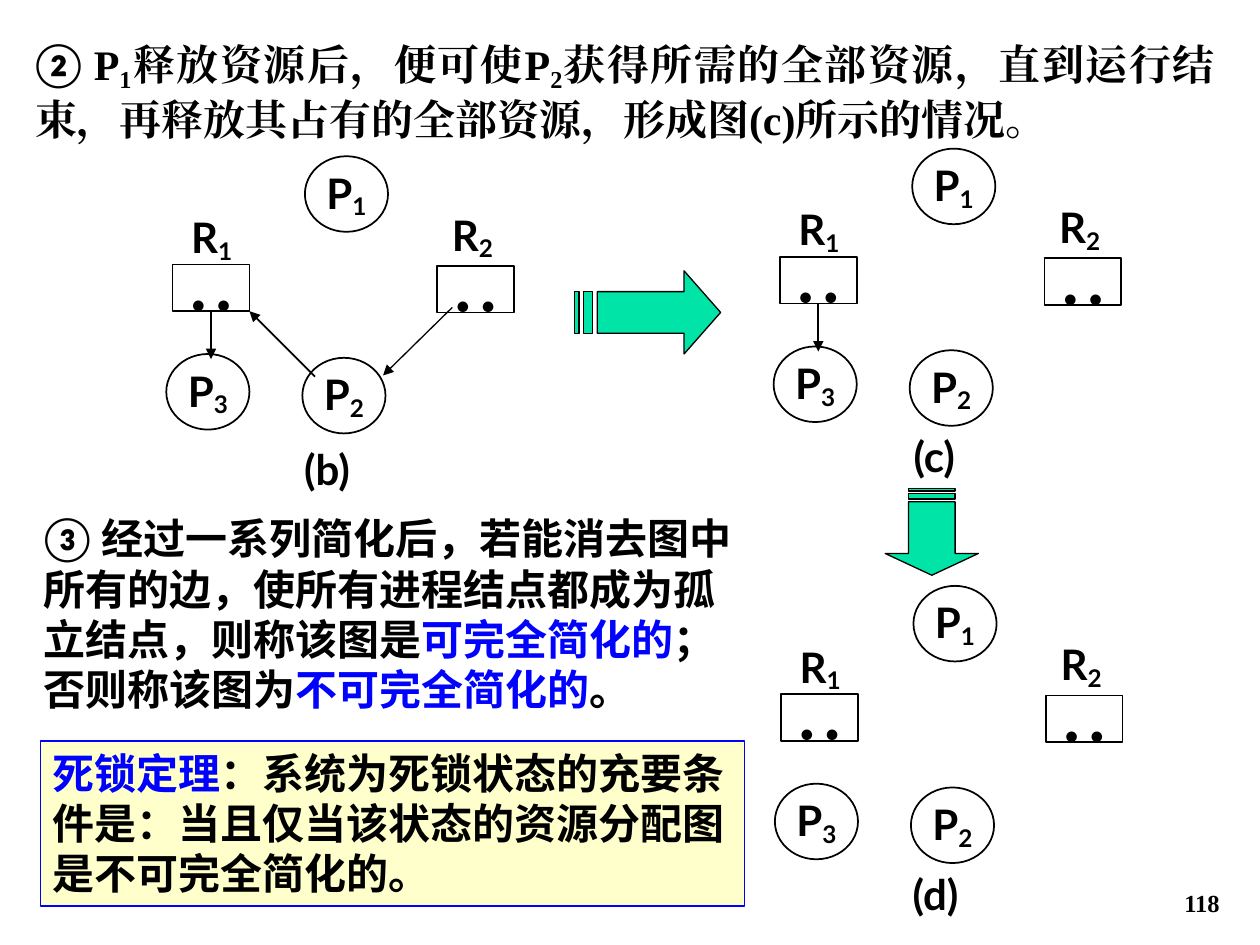
from dataclasses import dataclass

from lxml.etree import SubElement
from pptx import Presentation
from pptx.dml.color import RGBColor
from pptx.enum.shapes import MSO_CONNECTOR, MSO_SHAPE
from pptx.enum.text import MSO_ANCHOR, MSO_AUTO_SIZE, PP_ALIGN
from pptx.oxml.ns import qn
from pptx.util import Inches, Pt


@dataclass(frozen=True)
class Theme:
    black: str = "000000"
    white: str = "FFFFFF"
    blue: str = "0101FF"
    edge: str = "0000FF"
    cream: str = "FFFFCC"
    green: str = "00E4A8"
    size: float = 24
    small: float = 14
    sans: str = "Lato"
    serif: str = "Times New Roman"
    cjk: str = "Noto Sans CJK SC"


T = Theme()


def add_run(para, text, font=T.sans, color=T.black, size=T.size, base=0, gap=0):
    run = para.add_run()
    run.text = text
    run.font.size = Pt(size)
    run.font.bold = True
    run.font.color.rgb = RGBColor.from_string(color)
    run.font.name = font
    props = run.font._element
    SubElement(props, qn("a:ea")).set("typeface", font)
    if base:
        props.set("baseline", str(base * 1000))
    if gap:
        props.set("spc", str(gap * 100))


def set_text(shape, runs, align=PP_ALIGN.LEFT, anchor=MSO_ANCHOR.TOP,
             wrap=True, grow=True, inset=None):
    frame = shape.text_frame
    frame.word_wrap = wrap
    frame.auto_size = MSO_AUTO_SIZE.SHAPE_TO_FIT_TEXT if grow else MSO_AUTO_SIZE.NONE
    frame.vertical_anchor = anchor
    if inset:
        frame.margin_left = frame.margin_right = Inches(inset[0])
        frame.margin_top, frame.margin_bottom = Inches(inset[1]), Inches(inset[2])
    para = frame.paragraphs[0]
    para.alignment = align
    for text, style in runs:
        add_run(para, text, **style)


def paint(shape, fill=None, line=None, width=1):
    shape.shadow.inherit = False
    if fill:
        shape.fill.solid()
        shape.fill.fore_color.rgb = RGBColor.from_string(fill)
    else:
        shape.fill.background()
    if line:
        shape.line.color.rgb = RGBColor.from_string(line)
        shape.line.width = Pt(width)
    else:
        shape.line.fill.background()


def add_label(shapes, box, runs, **opts):
    label = shapes.add_textbox(*map(Inches, box))
    set_text(label, runs, **opts)


def add_panel(shapes, box, runs, fill, line=None):
    panel = shapes.add_shape(MSO_SHAPE.RECTANGLE, *map(Inches, box))
    paint(panel, fill, line, 0.75)
    set_text(panel, runs)


def indexed(name, index):
    return [(name, {}), (index, {"base": -16})]


def add_node(shapes, x, y, index):
    node = shapes.add_shape(MSO_SHAPE.OVAL, *map(Inches, (x, y, 0.66, 0.6)))
    paint(node, line=T.black)
    set_text(node, indexed("P", index), PP_ALIGN.CENTER, MSO_ANCHOR.MIDDLE,
             wrap=False, inset=(0.06, 0.01, 0.01))


def add_store(shapes, x, y, index, label):
    store = shapes.add_shape(MSO_SHAPE.RECTANGLE, *map(Inches, (x, y, 0.61, 0.37)))
    paint(store, line=T.black)
    dot = ("•", {"base": -16})
    set_text(store, [dot, (" ", {"base": -16, "gap": 3}), dot], PP_ALIGN.CENTER,
             wrap=False, grow=False, inset=(0.06, 0, 0.01))
    add_label(shapes, (*label, 0.88, 0.5), indexed("R", index), align=PP_ALIGN.CENTER)
    return store


def add_edge(shapes, start, end, width=1, source=None):
    edge = shapes.add_connector(MSO_CONNECTOR.STRAIGHT, *map(Inches, (*start, *end)))
    edge.line.color.rgb = RGBColor.from_string(T.black)
    edge.line.width = Pt(width)
    tail = SubElement(edge.line._get_or_add_ln(), qn("a:tailEnd"))
    tail.set("type", "triangle")
    SubElement(edge._element.spPr, qn("a:effectLst"))
    if source is not None:
        edge.begin_connect(source, 2)


def add_arrow(shapes, x, y, wide, high, turn=0):
    # Outlines as fractions of the arrow's length and breadth
    head = [(0.75, 0), (0.75, 0.25), (5 / 32, 0.25), (5 / 32, 0.75),
            (0.75, 0.75), (0.75, 1), (1, 0.5)]
    bars = [[(a, 0.25), (a, 0.75), (b, 0.75), (b, 0.25)]
            for a, b in ((1 / 16, 1 / 8), (0, 1 / 32))]
    pen = None
    for part in [head, *bars]:
        points = [(Inches(x + u * wide), Inches(y + v * high)) for u, v in part]
        if pen is None:
            pen = shapes.build_freeform(*points[0])
        else:
            pen.move_to(*points[0])
        pen.add_line_segments(points[1:], close=True)
    arrow = pen.convert_to_shape()
    arrow.rotation = turn
    paint(arrow, T.green, T.black, 0.75)


def add_graph(slide, x, y, name, drop, held=False, active=False):
    shapes = slide.shapes.add_group_shape().shapes
    # Processes and resources
    for index, dx, dy in (("1", 1.18, 0), ("2", 1.16, 1.6), ("3", 0.08, 1.57)):
        add_node(shapes, x + dx, y + dy, index)
    first = add_store(shapes, x + 0.13, y + 0.86, "1", (x, y + 0.39))
    add_store(shapes, x + 2.23, y + 0.87, "2", (x + 2.07, y + 0.37))
    # Allocation and request edges
    if held:
        mid = x + 0.435
        add_edge(shapes, (mid, y + 1.23), (mid, y + 1.61), source=first)
    if active:
        add_edge(shapes, (x + 1.26, y + 1.75), (x + 0.74, y + 1.23))
        add_edge(shapes, (x + 2.35, y + 1.2), (x + 1.8, y + 1.74), 0.75)
    add_label(shapes, (x + 0.83, y + drop, 1.05, 0.5), [(name, {})],
              align=PP_ALIGN.CENTER)


def main():
    deck = Presentation()
    deck.slide_width, deck.slide_height = Inches(10), Inches(7.5)
    slide = deck.slides.add_slide(deck.slide_layouts[6])
    shapes = slide.shapes

    # Page number and opening step
    serif = {"font": T.serif}
    sub = {**serif, "base": -18}
    add_label(shapes, (7.7, 6.83, 2.08, 0.5), [("118", {**serif, "size": T.small})],
              align=PP_ALIGN.RIGHT, anchor=MSO_ANCHOR.BOTTOM, grow=False)
    add_label(shapes, (0.18, 0.26, 9.56, 0.91), [
        ("② ", {}), ("P", serif), ("1", sub), ("释放资源后，便可使P", serif), ("2", sub),
        ("获得所需的全部资源，直到运行结束，再释放其占有的全部资源，形成图(c)所示的情况。", serif),
    ], align=PP_ALIGN.JUSTIFY)

    # Arrows between stages
    add_arrow(shapes, 4.56, 2.15, 1.16, 0.66)
    add_arrow(shapes, 7.05, 3.85, 0.69, 0.74, 90)

    # Reduction rule and deadlock theorem
    cjk = {"font": T.cjk}
    key = {**cjk, "color": T.blue}
    add_panel(shapes, (0.25, 4.02, 5.69, 1.72), [
        ("③ ", {}),
        ("经过一系列简化后，若能消去图中所有的边，使所有进程结点都成为孤立结点，则称该图是", cjk),
        ("可完全简化的", key), ("；否则称该图为", cjk), ("不可完全简化的", key), ("。", cjk),
    ], T.white)
    add_panel(shapes, (0.32, 5.88, 5.59, 1.31), [
        ("死锁定理", {"color": T.blue}),
        ("：系统为死锁状态的充要条件是：当且仅当该状态的资源分配图是不可完全简化的。", {}),
    ], T.cream, T.edge)

    # Resource graphs, stage by stage
    add_graph(slide, 1.24, 1.24, "(b)", 2.23, held=True, active=True)
    add_graph(slide, 6.06, 1.18, "(c)", 2.19, held=True)
    add_graph(slide, 6.07, 4.65, "(d)", 2.19)

    deck.save("out.pptx")


if __name__ == "__main__":
    main()
